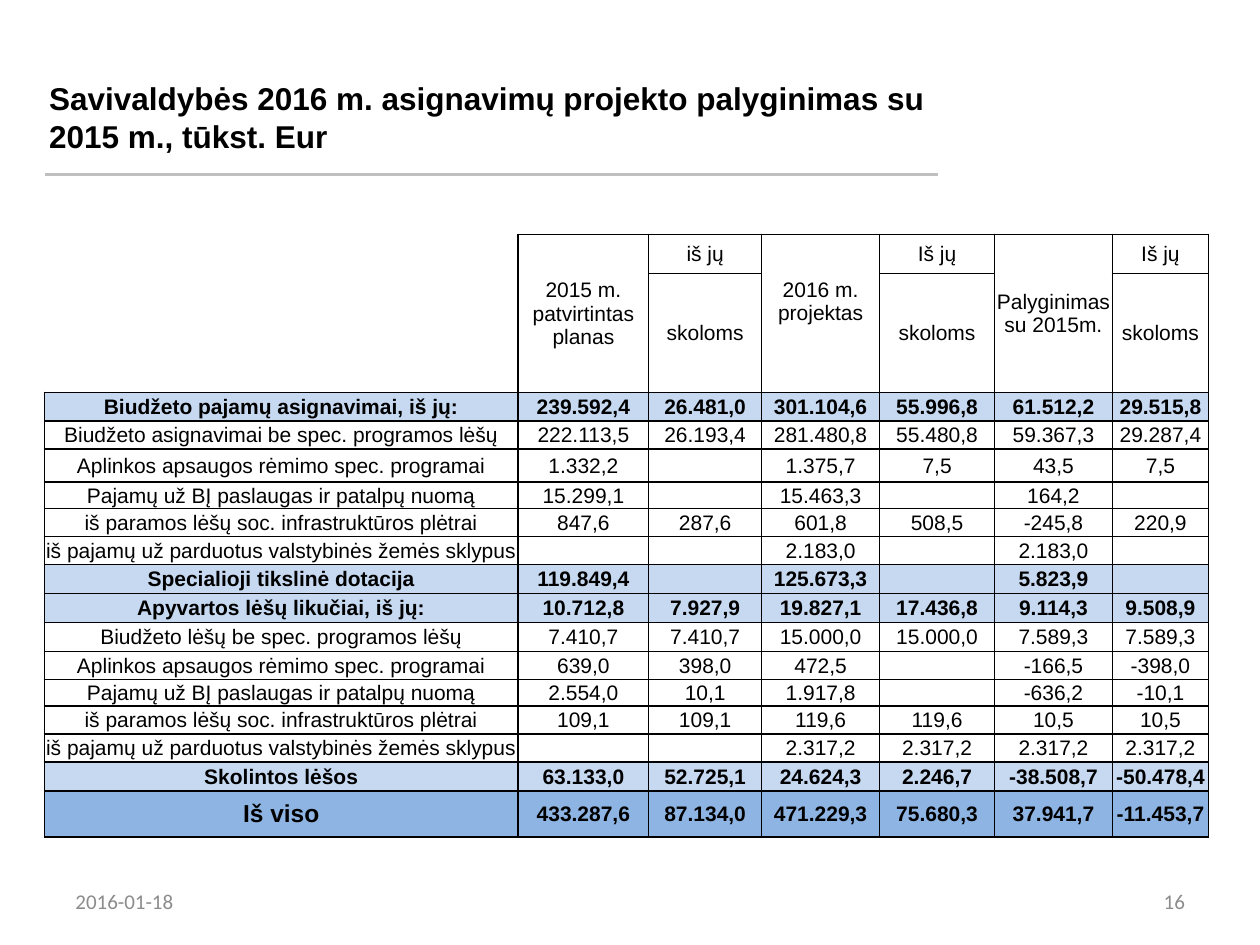
"""Build the slide comparing municipal appropriations for 2015 and 2016."""
from dataclasses import dataclass
from typing import Any, Optional

import lxml.etree
import pptx
import pptx.dml.color
import pptx.enum.shapes
import pptx.enum.text
import pptx.oxml.ns
import pptx.util

Pt = pptx.util.Pt
Color = pptx.dml.color.RGBColor
Align = pptx.enum.text.PP_ALIGN
Anchor = pptx.enum.text.MSO_ANCHOR
qn = pptx.oxml.ns.qn

BLACK = Color(0x00, 0x00, 0x00)
RULE = Color(0xBF, 0xBF, 0xBF)
GRAY = Color(0x8C, 0x8C, 0x8C)
PALE = Color(0xC6, 0xD9, 0xF1)
BLUE = Color(0x8E, 0xB4, 0xE3)

TITLE = "Savivaldybės 2016 m. asignavimų projekto palyginimas su 2015 m., tūkst. Eur"
WIDTHS = (270.8, 74.6, 64.6, 67.4, 65.7, 67.4, 54.9)


@dataclass
class Row:
    high: float
    cells: tuple[str, ...]
    fill: Optional[Color] = None
    size: float = 12


@dataclass
class Note:
    text: str
    left: float
    align: Any


ENV = "Aplinkos apsaugos rėmimo spec. programai"
RENT = "Pajamų už BĮ paslaugas ir patalpų nuomą"
AID = "iš paramos lėšų soc. infrastruktūros plėtrai"
LAND = "iš pajamų už parduotus valstybinės žemės sklypus"

ROWS = (
    Row(22.3, ("", "2015 m. patvirtintas planas", "iš jų", "2016 m. projektas",
               "Iš jų", "Palyginimas su 2015m.", "Iš jų")),
    Row(68, ("", "", "skoloms", "", "skoloms", "", "skoloms")),
    Row(16.5, ("Biudžeto pajamų asignavimai, iš jų:", "239.592,4", "26.481,0",
               "301.104,6", "55.996,8", "61.512,2", "29.515,8"), PALE),
    Row(16, ("Biudžeto asignavimai be spec. programos lėšų", "222.113,5", "26.193,4",
             "281.480,8", "55.480,8", "59.367,3", "29.287,4")),
    Row(18.8, (ENV, "1.332,2", "", "1.375,7", "7,5", "43,5", "7,5")),
    Row(14.4, (RENT, "15.299,1", "", "15.463,3", "", "164,2", "")),
    Row(16, (AID, "847,6", "287,6", "601,8", "508,5", "-245,8", "220,9")),
    Row(16, (LAND, "", "", "2.183,0", "", "2.183,0", "")),
    Row(16.6, ("Specialioji tikslinė dotacija", "119.849,4", "", "125.673,3", "",
               "5.823,9", ""), PALE),
    Row(16.6, ("Apyvartos lėšų likučiai, iš jų:", "10.712,8", "7.927,9", "19.827,1",
               "17.436,8", "9.114,3", "9.508,9"), PALE),
    Row(16.5, ("Biudžeto lėšų be spec. programos lėšų", "7.410,7", "7.410,7",
               "15.000,0", "15.000,0", "7.589,3", "7.589,3")),
    Row(16, (ENV, "639,0", "398,0", "472,5", "", "-166,5", "-398,0")),
    Row(14.4, (RENT, "2.554,0", "10,1", "1.917,8", "", "-636,2", "-10,1")),
    Row(16, (AID, "109,1", "109,1", "119,6", "119,6", "10,5", "10,5")),
    Row(16, (LAND, "", "", "2.317,2", "2.317,2", "2.317,2", "2.317,2")),
    Row(16.6, ("Skolintos lėšos", "63.133,0", "52.725,1", "24.624,3", "2.246,7",
               "-38.508,7", "-50.478,4"), PALE),
    Row(26.3, ("Iš viso", "433.287,6", "87.134,0", "471.229,3", "75.680,3",
               "37.941,7", "-11.453,7"), BLUE, 14),
)

NOTES = (
    Note("2016-01-18", 36, Align.LEFT),
    Note("16", 516.2, Align.RIGHT),
)


def write(frame: Any, text: str, *, size: float = 12, face: str = "Arial",
          color: Color = BLACK, bold: bool = False, align: Any = Align.LEFT) -> None:
    """Put one formatted paragraph in a text frame."""
    frame.word_wrap = True
    para = frame.paragraphs[0]
    para.alignment = align
    if not text:
        lxml.etree.SubElement(para._p, qn("a:endParaRPr"), sz=str(size * 100))
        return
    run = para.add_run()
    run.text = text
    font = run.font
    font.size, font.name, font.bold = Pt(size), face, bold
    font.color.rgb = color


def edge(cell: Any, sides: str) -> None:
    """Draw black borders on the given sides of a cell."""
    props = cell._tc.get_or_add_tcPr()
    for side in sides:
        line = lxml.etree.SubElement(props, qn(f"a:ln{side}"), w=str(Pt(1)))
        fill = lxml.etree.SubElement(line, qn("a:solidFill"))
        lxml.etree.SubElement(fill, qn("a:srgbClr"), val=str(BLACK))


def draw_cell(cell: Any, text: str, row: Row, size: float, sides: str) -> None:
    """Format and fill one table cell."""
    edge(cell, sides)
    if row.fill is None:
        cell.fill.background()
    else:
        cell.fill.solid()
        cell.fill.fore_color.rgb = row.fill
    cell.margin_left = cell.margin_right = cell.margin_top = Pt(0.5)
    cell.margin_bottom = Pt(0)
    cell.vertical_anchor = Anchor.MIDDLE
    write(cell.text_frame, text, size=size, bold=row.fill is not None, align=Align.CENTER)


def draw_table(slide: Any) -> None:
    """Draw the comparison table with its merged header."""
    high = sum(row.high for row in ROWS)
    table = slide.shapes.add_table(len(ROWS), len(WIDTHS), Pt(25.3), Pt(133.9),
                                   Pt(sum(WIDTHS)), Pt(high)).table
    table.first_row = table.horz_banding = False
    for col, width in zip(table.columns, WIDTHS):
        col.width = Pt(width)
    for i, row in enumerate(ROWS):
        table.rows[i].height = Pt(row.high)
        for j, text in enumerate(row.cells):
            size = row.size if j == 0 else 12
            sides = "RB" if i < 2 and j == 0 else "LRTB"
            draw_cell(table.cell(i, j), text, row, size, sides)
    for j in (0, 1, 3, 5):
        table.cell(0, j).merge(table.cell(1, j))
    table.cell(0, 3).margin_bottom = Pt(13.8)


def draw_title(slide: Any) -> None:
    """Set the title and the rule under it."""
    title = slide.shapes.title
    title.left, title.top, title.width, title.height = Pt(20.9), Pt(37.4), Pt(544.3), Pt(59)
    title.text_frame.vertical_anchor = Anchor.MIDDLE
    write(title.text_frame, TITLE, size=18, bold=True)
    rule = slide.shapes.add_connector(pptx.enum.shapes.MSO_CONNECTOR.STRAIGHT,
                                      Pt(25.5), Pt(99.8), Pt(536), Pt(99.8))
    rule.line.color.rgb = RULE
    rule.line.width = Pt(1.5)
    lxml.etree.SubElement(rule._element.spPr, qn("a:effectLst"))


def draw_note(slide: Any, note: Note) -> None:
    """Draw one footer text."""
    box = slide.shapes.add_textbox(Pt(note.left), Pt(500.5), Pt(168), Pt(28.8))
    box.text_frame.vertical_anchor = Anchor.MIDDLE
    write(box.text_frame, note.text, face="Calibri", color=GRAY, align=note.align)


def main() -> None:
    """Build and save the slide."""
    deck = pptx.Presentation()
    deck.slide_width, deck.slide_height = Pt(720), Pt(540)
    slide = deck.slides.add_slide(deck.slide_layouts[5])
    draw_title(slide)
    draw_table(slide)
    for note in NOTES:
        draw_note(slide, note)
    deck.save("out.pptx")


if __name__ == "__main__":
    main()
